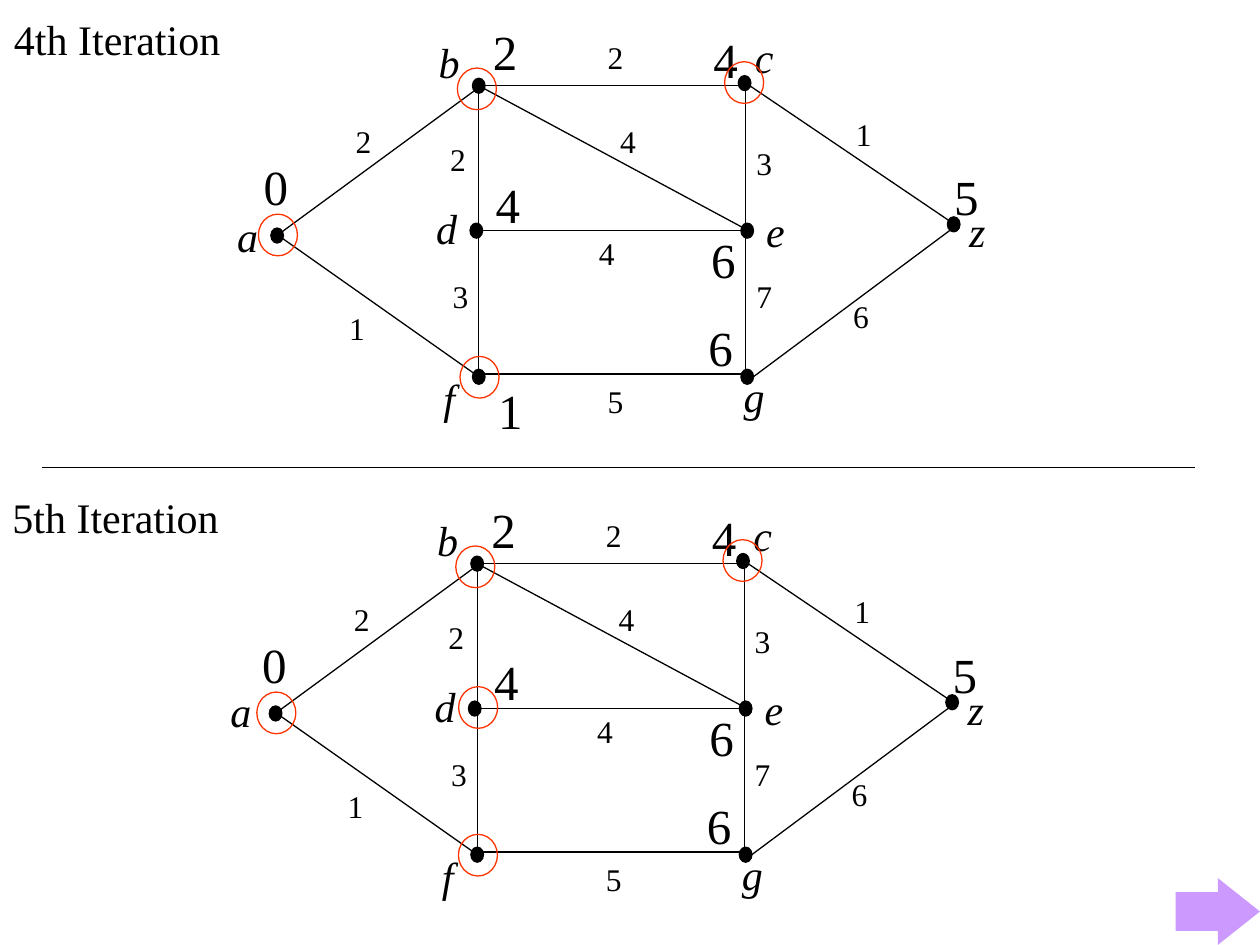
from pptx import Presentation
from pptx.util import Pt
from pptx.dml.color import RGBColor
from pptx.enum.shapes import MSO_SHAPE as Shape, MSO_CONNECTOR as Connector
from pptx.enum.text import MSO_ANCHOR as Anchor, MSO_AUTO_SIZE as AutoSize, PP_ALIGN as Align
from pptx.oxml.ns import qn
from lxml import etree


def color(hex_string):
    return RGBColor.from_string(hex_string)


deck = Presentation()
deck.slide_width, deck.slide_height = Pt(720), Pt(540)
page = deck.slides.add_slide(deck.slide_layouts[6])

nodes = {
    "a": (158.4, 134.6), "b": (273.6, 49), "c": (425.5, 47.5), "d": (272.2, 131.8),
    "e": (427, 131.8), "f": (273.6, 215.3), "g": (427, 215.3), "z": (545, 128.2),
}
edges = [
    (156.2, 136.1, 275, 49), (159.1, 134.6, 273.6, 215.3),
    (273.6, 213.8, 426.2, 213.8), (275, 131.8, 426.2, 131.8),
    (273.6, 49, 424.8, 49), (273.6, 49, 273.6, 213.8),
    (426.2, 50.4, 426.2, 215.3), (426.2, 47.5, 546.5, 128.9),
    (546.5, 128.9, 427.7, 217.4), (273.6, 49, 427.7, 131.8),
]
names = [
    ("b", 256.7, 35.3), ("c", 436.7, 32.4), ("d", 255.2, 130.3), ("e", 443.2, 131.8),
    ("z", 558.5, 131.8), ("f", 256.7, 227.5), ("g", 430.9, 226.1),
]
weights = [
    ("2", 207.7, 80.6), ("4", 358.9, 80.6), ("3", 436.7, 92.9), ("2", 351.7, 32.4),
    ("2", 261.7, 90.7), ("4", 346.7, 144.7), ("5", 351.7, 229), ("6", 492.1, 180.7),
    ("1", 493.6, 76.3), ("1", 204.1, 187.2), ("3", 263.2, 169.2), ("7", 436.7, 169.2),
]
distances = [
    ("0", 157.7, 106.2), ("2", 288.7, 29.2), ("4", 414.7, 33.5), ("5", 552.2, 112),
    ("4", 290.2, 116.3), ("6", 413.3, 148), ("6", 411.8, 198.4),
]
rings = {
    "a": (158.8, 134.3), "b": (272.5, 50.8), "c": (425.2, 47.2),
    "d": (274.1, 131.2), "f": (274, 215.6),
}
label_styles = {
    "title": {"width": 132.5, "height": 36, "size": 24, "italic": False},
    "name": {"width": 26.6, "height": 36, "size": 24, "italic": True},
    "weight": {"width": 23.8, "height": 28.8, "size": 18, "italic": False},
    "distance": {"width": 28.8, "height": 41, "size": 28, "italic": False},
}
iterations = [
    {"title": "4th Iteration", "dx": 0, "dy": 0, "visited": "abcf",
     "names": [("a", 141.5, 134.6)], "distances": [("1", 291.6, 234.4)]},
    {"title": "5th Iteration", "dx": -0.9, "dy": 273.1, "visited": "abcdf",
     "names": [("a", 138.6, 133.2)], "distances": []},
]

lines = [(24, 267.1, 682.6, 267.1)]
ovals = []
labels = []
for step in iterations:
    dx, dy = step["dx"], step["dy"]
    lines += [(x1 + dx, y1 + dy, x2 + dx, y2 + dy) for x1, y1, x2, y2 in edges]
    ovals += [(x + dx, y + dy, 7.2, 8.6, "000000", "000000") for x, y in nodes.values()]
    ovals += [(rings[node][0] + dx, rings[node][1] + dy, 22.3, 23.8, None, "FF3300")
              for node in step["visited"]]
    groups = {
        "title": [(step["title"], 67, 22.3)],
        "name": step["names"] + names,
        "weight": weights,
        "distance": distances + step["distances"],
    }
    labels += [(text, x + dx, y + dy, label_styles[kind])
               for kind, group in groups.items() for text, x, y in group]

for ends in lines:
    line = page.shapes.add_connector(Connector.STRAIGHT, *[Pt(end) for end in ends])
    line.line.color.rgb = color("000000")
    line.line.width = Pt(0.75)
    etree.SubElement(line._element.spPr, qn("a:effectLst"))

for text, x, y, style in labels:
    width, height = style["width"], style["height"]
    box = page.shapes.add_textbox(Pt(x - width / 2), Pt(y - height / 2), Pt(width), Pt(height))
    frame = box.text_frame
    frame.word_wrap = False
    frame.auto_size = AutoSize.SHAPE_TO_FIT_TEXT
    frame.vertical_anchor = Anchor.MIDDLE
    para = frame.paragraphs[0]
    para.alignment = Align.CENTER
    span = para.add_run()
    span.text = text
    span.font.color.rgb = color("000000")
    font_values = {"name": "Times New Roman", "size": Pt(style["size"]), "italic": style["italic"]}
    for key, value in font_values.items():
        setattr(span.font, key, value)

for x, y, width, height, fill, outline in ovals:
    oval = page.shapes.add_shape(
        Shape.OVAL, Pt(x - width / 2), Pt(y - height / 2), Pt(width), Pt(height))
    oval.shadow.inherit = False
    if fill:
        oval.fill.solid()
        oval.fill.fore_color.rgb = color(fill)
    else:
        oval.fill.background()
    oval.line.color.rgb = color(outline)
    oval.line.width = Pt(0.75)

arrow = page.shapes.add_shape(Shape.RIGHT_ARROW, Pt(671.8), Pt(501.8), Pt(48.2), Pt(38.2))
arrow.adjustments[0] = 0.58
arrow.adjustments[1] = 0.63
arrow.shadow.inherit = False
arrow.fill.solid()
arrow.fill.fore_color.rgb = color("CC99FF")
arrow.line.fill.background()

deck.save("out.pptx")
